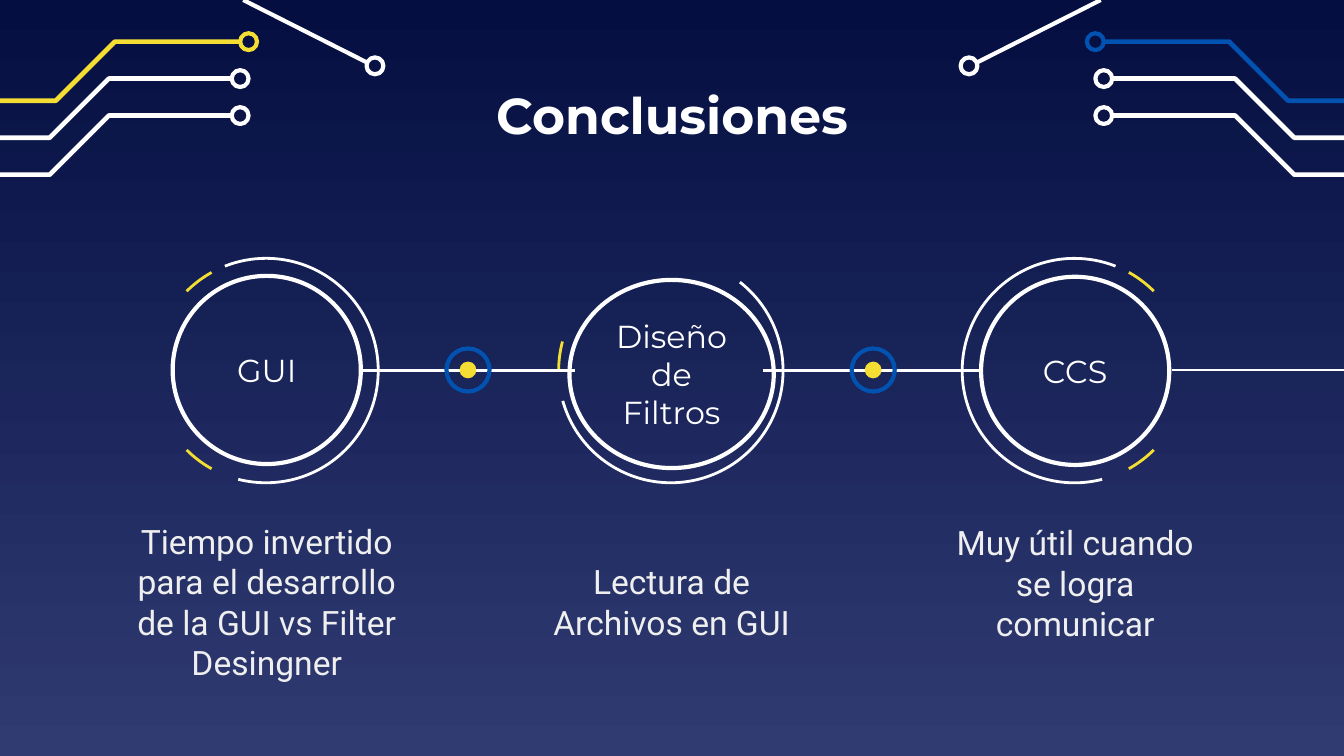
from lxml import etree
from pptx import Presentation
from pptx.dml.color import RGBColor
from pptx.enum.shapes import MSO_CONNECTOR, MSO_SHAPE
from pptx.enum.text import MSO_ANCHOR, MSO_AUTO_SIZE, PP_ALIGN
from pptx.oxml.ns import qn
from pptx.util import Inches, Pt

WIDE = Inches(10)
HIGH = WIDE * 9 // 16
COLS = 100
CELL = WIDE // COLS
OVAL, ARC = MSO_SHAPE.OVAL, MSO_SHAPE.ARC
LINE = MSO_CONNECTOR.STRAIGHT
MID, CENTER = MSO_ANCHOR.MIDDLE, PP_ALIGN.CENTER
FIXED = MSO_AUTO_SIZE.NONE

HUES = {
    "top": "040E41", "base": "303B72", "white": "FFFFFF",
    "gold": "F5DE34", "blue": "0152B1", "pale": "EFEFEF",
}
AXIS = 27.58   # row of the timeline
ORBIT = 8.35   # radius of the arcs round each topic


def hue(name):
    return RGBColor.from_string(HUES[name])


def grid(*cells):
    """Turn grid cells into slide lengths."""
    return [round(cell * CELL) for cell in cells]


def paint(shape, line=None, width=2.25, fill=None):
    shape.shadow.inherit = False
    if fill:
        shape.fill.solid()
        shape.fill.fore_color.rgb = hue(fill)
    else:
        shape.fill.background()
    if line:
        shape.line.color.rgb = hue(line)
        shape.line.width = Pt(width)
    else:
        shape.line.fill.background()


def write(shape, text, font, size, color, bold=False):
    frame = shape.text_frame
    frame.word_wrap = True
    frame.auto_size = FIXED
    frame.vertical_anchor = MID
    frame.margin_left = frame.margin_right = Inches(0.1)
    frame.margin_top = frame.margin_bottom = Inches(0.1)
    para = frame.paragraphs[0]
    para.alignment = CENTER
    run = para.add_run()
    run.text = text
    run.font.name = font
    run.font.size = Pt(size)
    run.font.bold = bold
    run.font.color.rgb = hue(color)


def add_oval(slide, x, y, wide, high, **look):
    """Add an ellipse centred on x, y."""
    oval = slide.shapes.add_shape(
        OVAL, *grid(x - wide / 2, y - high / 2, wide, high))
    paint(oval, **look)
    return oval


def add_arc(slide, x, y, start, end, color):
    """Add a clockwise arc, with its angles in degrees from the east."""
    arc = slide.shapes.add_shape(
        ARC, *grid(x - ORBIT, y - ORBIT, 2 * ORBIT, 2 * ORBIT))
    # An adjustment of 0.6 is one degree.
    arc.adjustments[0] = start * 0.6
    arc.adjustments[1] = end * 0.6
    paint(arc, color, 1.5)


def add_line(slide, x1, y1, x2, y2, width=1.5):
    line = slide.shapes.add_connector(LINE, *grid(x1, y1, x2, y2))
    line.line.color.rgb = hue("white")
    line.line.width = Pt(width)
    etree.SubElement(line._element.spPr, qn("a:effectLst"))


def add_trace(slide, dots, color):
    first, *rest = [tuple(grid(*dot)) for dot in dots]
    path = slide.shapes.build_freeform(*first)
    path.add_line_segments(rest, close=False)
    paint(path.convert_to_shape(), color, 2.5)


def add_circuit(slide, accent, flip):
    """Draw the corner traces; flip puts them on the right."""
    def side(x):
        return COLS - x if flip else x

    traces = [(0, 3.1, accent), (-0.45, 5.85, "white"), (-0.45, 8.6, "white")]
    for shift, y, color in traces:
        dots = [(0, y + 4.4), (4.15 + shift, y + 4.4),
                (8.55 + shift, y), (17.8 + shift, y)]
        add_trace(slide, [(side(x), row) for x, row in dots], color)
        add_oval(slide, side(18.5 + shift * 1.4), y, 1.25, 1.25, line=color)
    add_line(slide, side(18.1), 0, side(27.4), 4.7, 2.25)
    add_oval(slide, side(27.9), 4.9, 1.25, 1.25, line="white")


def add_topic(slide, name, x, y, wide, arcs):
    """Add a named circle and the arcs round it."""
    oval = add_oval(slide, x, y, wide, 14, line="white")
    write(oval, name, "Montserrat", 17, "white")
    for start, end, color in arcs:
        add_arc(slide, x - 0.05, AXIS, start, end, color)


def add_link(slide, start, end, x):
    add_line(slide, start, AXIS, end, AXIS)
    add_oval(slide, x, AXIS - 0.05, 3.2, 3.2, line="blue")
    add_oval(slide, x, AXIS - 0.05, 1.25, 1.25, fill="gold")


def add_note(slide, x, y, text):
    box = slide.shapes.add_textbox(*grid(x - 11.4, y, 22.8, 5.8))
    write(box, text, "Roboto", 18, "pale")


def main():
    deck = Presentation()
    deck.slide_width, deck.slide_height = WIDE, HIGH
    slide = deck.slides.add_slide(deck.slide_layouts[5])

    back = slide.background.fill
    back.gradient()
    back.gradient_angle = 270
    for stop, name in zip(back.gradient_stops, ("top", "base")):
        stop.color.rgb = hue(name)

    title = slide.shapes.title
    title.left, title.top, title.width, title.height = grid(
        22.55, 5.9, 54.9, 5.2)
    write(title, "Conclusiones", "Montserrat", 27, "white", True)

    add_circuit(slide, "gold", False)
    add_circuit(slide, "blue", True)

    topics = [
        ("GUI", 19.85, 27.53, 14, 41.87,
         "Tiempo invertido para el desarrollo de la GUI vs Filter Desingner",
         [(248.5, 104.3, "white"), (225, 241, "gold"), (119, 135, "gold")]),
        ("Diseño de Filtros", 49.97, 27.83, 15.2, 41.87,
         "Lectura de Archivos en GUI",
         [(308, 164.3, "white"), (180, 195, "gold")]),
        ("CCS", 80, 27.6, 14, 40.45,
         "Muy útil cuando se logra comunicar",
         [(75.7, 291.5, "white"), (299, 315, "gold"), (45, 61, "gold")]),
    ]
    for name, x, y, wide, row, note, arcs in topics:
        add_topic(slide, name, x, y, wide, arcs)
        add_note(slide, x, row, note)

    add_link(slide, 26.9, 42.8, 34.82)
    add_link(slide, 56.8, 73.1, 64.97)
    add_line(slide, 87.2, AXIS - 0.05, COLS, AXIS - 0.05)

    deck.save("out.pptx")


if __name__ == "__main__":
    main()
